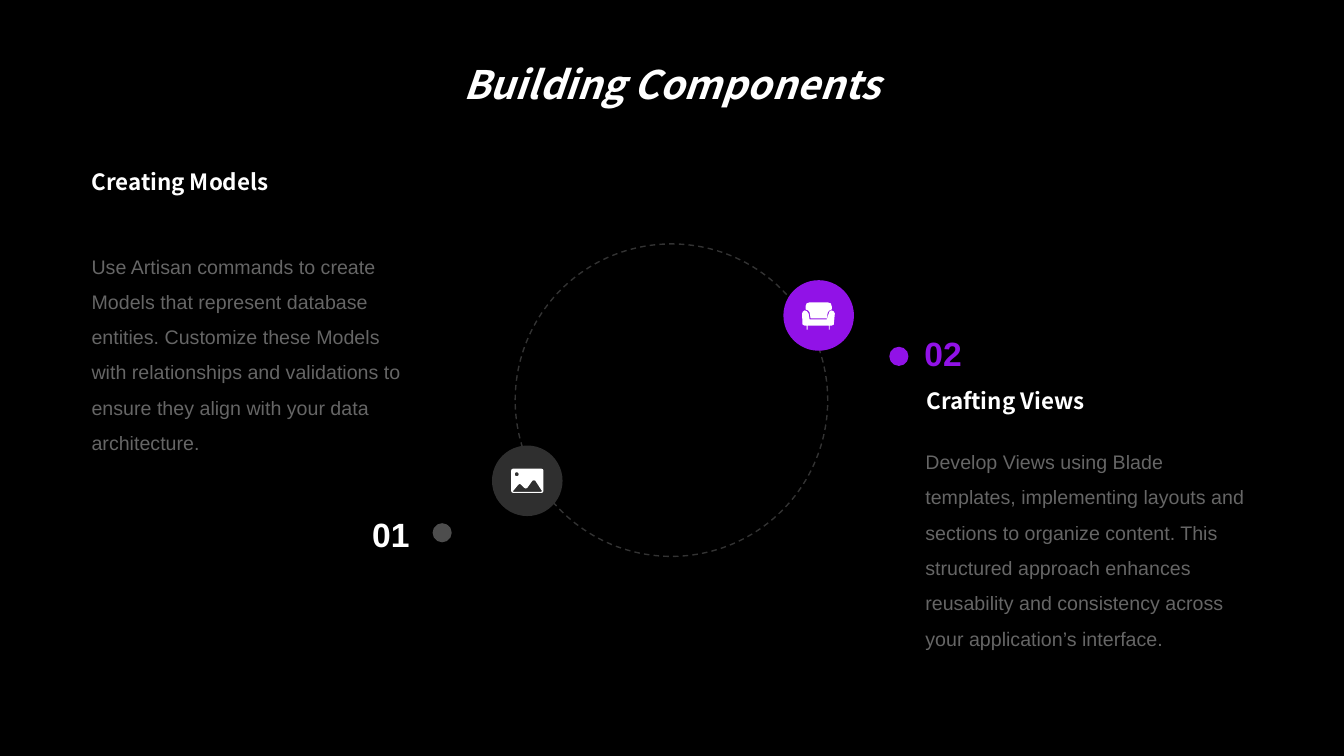
"""Build the Building Components slide: a dashed ring with two numbered steps."""
from lxml.etree import SubElement
from pptx import Presentation
from pptx.dml.color import RGBColor
from pptx.enum.dml import MSO_LINE
from pptx.enum.shapes import MSO_SHAPE
from pptx.enum.text import MSO_ANCHOR, PP_ALIGN
from pptx.oxml.ns import qn
from pptx.util import Inches, Pt


def paint(fill, color, alpha=100):
    fill.solid()
    fill.fore_color.rgb = RGBColor.from_string(color)
    if alpha < 100:
        tint = fill._xPr.find(qn("a:solidFill"))[0]
        SubElement(tint, qn("a:alpha"), val=str(alpha * 1000))


def disc(shapes, left, top, size, color=None, alpha=100):
    oval = shapes.add_shape(MSO_SHAPE.OVAL, Inches(left), Inches(top), Inches(size), Inches(size))
    oval.shadow.inherit = False
    if color:
        paint(oval.fill, color, alpha)
        oval.line.fill.background()
    return oval


WHITE, BLACK, GREY, PURPLE = "FFFFFF", "000000", "2F2F2F", "9112E7"
SANS, HEAD = "Arial", "Noto Sans CJK SC"

deck = Presentation()
deck.slide_width, deck.slide_height = Inches(13.33), Inches(7.5)
slide = deck.slides.add_slide(deck.slide_layouts[6])
paint(slide.background.fill, BLACK)

ring = disc(slide.shapes, 5.11, 2.42, 3.1)
ring.fill.background()
paint(ring.line.fill, WHITE, 20)
ring.line.width = Pt(1)
ring.line.dash_style = MSO_LINE.DASH

disc(slide.shapes, 4.29, 5.19, 0.19, WHITE, 30)
disc(slide.shapes, 8.82, 3.44, 0.19, PURPLE)

photo = [
    [(5.37, 4.65), (5.385, 4.655), (5.39, 4.67), (5.39, 4.87), (5.385, 4.885), (5.37, 4.89),
     (5.09, 4.89), (5.075, 4.885), (5.07, 4.87), (5.07, 4.67), (5.075, 4.655), (5.09, 4.65)],
    [(5.31, 4.77), (5.295, 4.765), (5.28, 4.77), (5.23, 4.84), (5.215, 4.847), (5.2, 4.84),
     (5.17, 4.81), (5.155, 4.8), (5.14, 4.81), (5.09, 4.87), (5.09, 4.88), (5.37, 4.88),
     (5.375, 4.87)],
    [(5.125, 4.685), (5.11, 4.69), (5.105, 4.705), (5.11, 4.72), (5.125, 4.725),
     (5.14, 4.72), (5.145, 4.705), (5.14, 4.69)],
]
sofa = [
    [(8.25, 3.08), (8.27, 3.09), (8.28, 3.11), (8.27, 3.22), (8.25, 3.23), (8.23, 3.23),
     (8.23, 3.27), (8.22, 3.27), (8.22, 3.23), (8.01, 3.23), (8.01, 3.27), (8, 3.27),
     (8, 3.23), (7.98, 3.23), (7.96, 3.22), (7.955, 3.11), (7.965, 3.09), (7.98, 3.08),
     (8, 3.085), (8.02, 3.11), (8.03, 3.17), (8.2, 3.17), (8.22, 3.11), (8.23, 3.085)],
    [(8.21, 3), (8.24, 3.01), (8.25, 3.04), (8.25, 3.07), (8.225, 3.08), (8.21, 3.1),
     (8.2, 3.16), (8.04, 3.16), (8.03, 3.1), (8.015, 3.08), (7.99, 3.07), (7.99, 3.04),
     (8, 3.01), (8.03, 3)],
]
for left, top, color, icon in [(4.88, 4.42, GREY, photo), (7.77, 2.78, PURPLE, sofa)]:
    badge = slide.shapes.add_group_shape().shapes
    disc(badge, left, top, 0.7, color)
    pen = None
    for loop in icon:
        dots = [(round(x * 1000), round(y * 1000)) for x, y in loop]
        if pen:
            pen.move_to(*dots[0])
        else:
            pen = badge.build_freeform(*dots[0], scale=Inches(1) / 1000)
        pen.add_line_segments(dots[1:], close=True)
    mark = pen.convert_to_shape()
    mark.shadow.inherit = False
    paint(mark.fill, WHITE)
    mark.line.fill.background()

models = ("Use Artisan commands to create Models that represent database entities. "
          "Customize these Models with relationships and validations to ensure they "
          "align with your data architecture.")
views = ("Develop Views using Blade templates, implementing layouts and sections to "
         "organize content. This structured approach enhances reusability and "
         "consistency across your application’s interface.")

title = {"size": Pt(28), "name": HEAD, "bold": True, "italic": True}
label = {"size": Pt(16), "name": HEAD, "bold": True}
body = {"size": Pt(14), "name": SANS}
count = {"size": Pt(24), "name": SANS, "bold": True}
LEFT, MID, RIGHT = PP_ALIGN.LEFT, PP_ALIGN.CENTER, PP_ALIGN.RIGHT
TOP, HALF, BASE = MSO_ANCHOR.TOP, MSO_ANCHOR.MIDDLE, MSO_ANCHOR.BOTTOM

for words, area, style, color, alpha, align, anchor, pitch in [
    ("Building Components", (0.72, 0, 11.88, 1.12), title, WHITE, 100, MID, BASE, 0.9),
    ("Creating Models", (0.81, 1.62, 3.44, 0.37), label, WHITE, 100, LEFT, TOP, 1),
    (models, (0.81, 2.36, 3.45, 2.53), body, WHITE, 40, LEFT, TOP, 1.5),
    ("01", (0.89, 5.05, 3.27, 0.5), count, WHITE, 100, RIGHT, HALF, 1),
    ("02", (9.07, 3.25, 3.46, 0.5), count, PURPLE, 100, LEFT, HALF, 1),
    ("Crafting Views", (9.09, 3.79, 3.44, 0.37), label, WHITE, 100, LEFT, TOP, 1),
    (views, (9.08, 4.3, 3.46, 2.53), body, WHITE, 40, LEFT, TOP, 1.5),
]:
    frame = slide.shapes.add_textbox(*map(Inches, area)).text_frame
    frame.word_wrap = True
    frame.vertical_anchor = anchor
    para = frame.paragraphs[0]
    para.alignment = align
    para.line_spacing = pitch
    run = para.add_run()
    run.text = words
    for key, value in style.items():
        setattr(run.font, key, value)
    paint(run.font.fill, color, alpha)
    if style["name"] == HEAD:
        SubElement(run.font._element, qn("a:ea"), typeface=HEAD)

deck.save("out.pptx")
